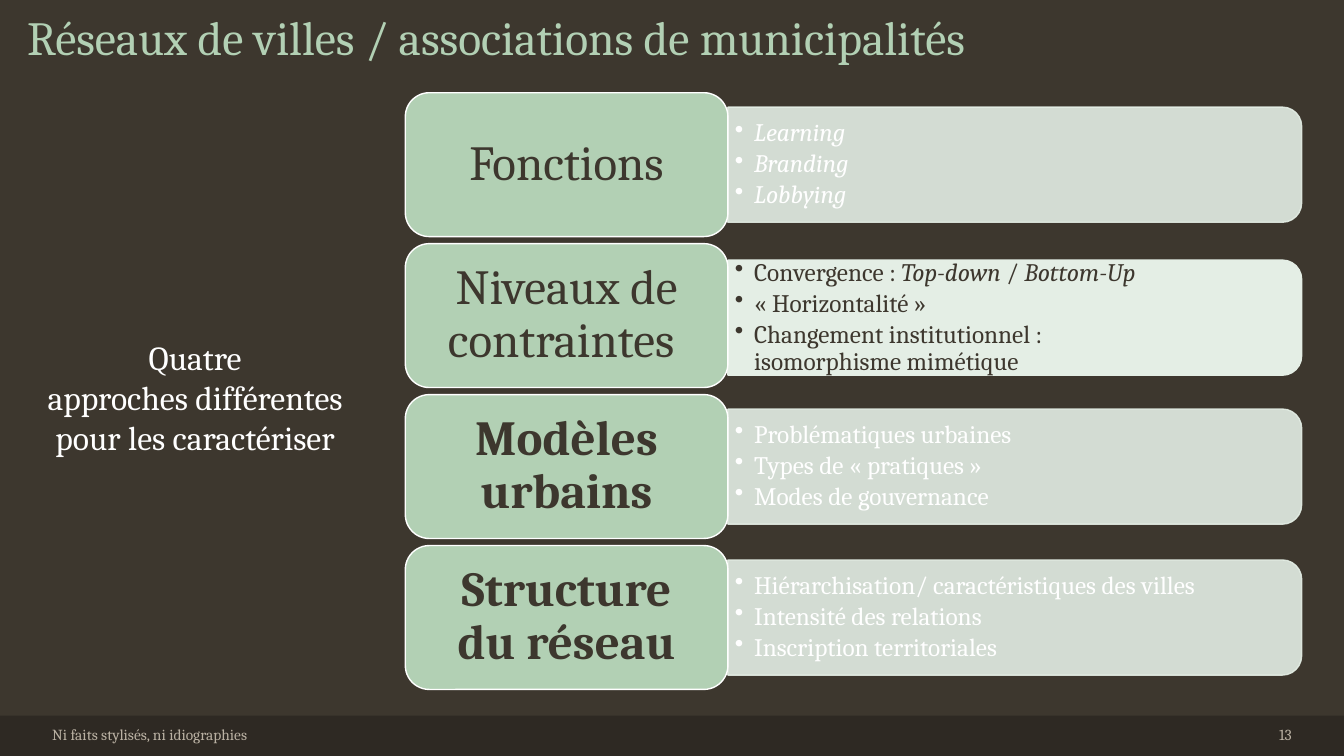
from dataclasses import dataclass

from lxml import etree
from pptx import Presentation
from pptx.dml.color import RGBColor
from pptx.enum.shapes import MSO_SHAPE as Shape
from pptx.enum.text import MSO_ANCHOR as Anchor, PP_ALIGN as Align
from pptx.oxml.ns import qn
from pptx.util import Inches, Pt


@dataclass(frozen=True)
class Theme:
    """Colours, font and type sizes of the slide."""
    font: str = "Cambria"
    dark: str = "3D372E"
    band: str = "2E2923"
    green: str = "B2D0B4"
    pale: str = "E4EEE5"
    white: str = "FFFFFF"
    muted: str = "BAB1A3"
    title: int = 34
    label: int = 35
    intro: int = 24
    body: int = 18
    small: int = 11


T = Theme()

APPROACHES = [
    ("Fonctions", False, False, 0,
     ["*Learning*", "*Branding*", "*Lobbying*"]),
    ("Niveaux de contraintes ", False, True, 0.02,
     ["Convergence : *Top-down* / *Bottom-Up*", "« Horizontalité »",
      "Changement institutionnel : \nisomorphisme mimétique"]),
    ("Modèles urbains", True, False, 0,
     ["Problématiques urbaines", "Types de « pratiques »", "Modes de gouvernance"]),
    ("Structure du réseau", True, False, 0,
     ["Hiérarchisation/ caractéristiques des villes", "Intensité des relations",
      "Inscription territoriales"]),
]


def rgb(value):
    """Return a colour object for a hex string."""
    return RGBColor.from_string(value)


def set_font(font, size, color, bold=False):
    """Apply the theme font with a size and a colour."""
    font.name, font.size, font.bold = T.font, Pt(size), bold
    font.color.rgb = rgb(color)


def add_block(s, kind, x, y, w, h, fill, line=None):
    """Add a preset shape with a flat fill and an optional outline."""
    sp = s.shapes.add_shape(kind, Inches(x), Inches(y), Inches(w), Inches(h))
    sp.shadow.inherit = False
    sp.fill.solid()
    sp.fill.fore_color.rgb = rgb(fill)
    if line:
        sp.line.color.rgb = rgb(line)
        sp.line.width = Pt(1)
    else:
        sp.line.fill.background()
    return sp


def set_insets(tf, across, down):
    """Set equal side insets and equal top and bottom insets."""
    tf.margin_left = tf.margin_right = Inches(across)
    tf.margin_top = tf.margin_bottom = Inches(down)


def add_text(s, x, y, w, h, text, size, color, align=Align.LEFT,
             anchor=Anchor.MIDDLE, spacing=1.0):
    """Add a wrapped text box in a single style."""
    tf = s.shapes.add_textbox(Inches(x), Inches(y), Inches(w), Inches(h)).text_frame
    tf.word_wrap = True
    tf.vertical_anchor = anchor
    tf.text = text
    for p in tf.paragraphs:
        p.alignment, p.line_spacing = align, spacing
        for r in p.runs:
            set_font(r.font, size, color)


def add_bullet(p, item, color):
    """Fill a bulleted paragraph, with starred words in italics."""
    pPr = p._p.get_or_add_pPr()
    pPr.set("marL", str(Inches(0.19)))
    pPr.set("indent", str(-Inches(0.19)))
    etree.SubElement(pPr, qn("a:buChar")).set("char", "•")
    p.line_spacing, p.space_after = 0.9, Pt(2.7)
    for i, part in enumerate(item.split("*")):
        for j, line in enumerate(part.split("\n")):
            if j:
                p.add_line_break()
            if line:
                r = p.add_run()
                r.text = line
                set_font(r.font, T.body, color)
                r.font.italic = i % 2 == 1


def add_bar(s, x, y, w, h, items, active):
    """Add the bar rounded on its right side and its bulleted text."""
    bar = add_block(s, Shape.ROUND_2_SAME_RECTANGLE, x + (w - h) / 2,
                    y + (h - w) / 2, h, w, T.pale, T.pale)
    bar.rotation = 90
    if not active:
        for color in bar._element.spPr.iter(qn("a:srgbClr")):
            etree.SubElement(color, qn("a:alpha")).set("val", "90000")
    tf = s.shapes.add_textbox(Inches(x), Inches(y + 0.06), Inches(w - 0.06),
                              Inches(h - 0.12)).text_frame
    tf.word_wrap = True
    tf.vertical_anchor = Anchor.MIDDLE
    set_insets(tf, 0.07, 0.04)
    for i, item in enumerate(items):
        p = tf.add_paragraph() if i else tf.paragraphs[0]
        add_bullet(p, item, T.dark if active else T.white)


def add_label(s, x, y, w, h, text, bold):
    """Add the green rounded box naming an approach."""
    sp = add_block(s, Shape.ROUNDED_RECTANGLE, x, y, w, h, T.green, T.white)
    tf = sp.text_frame
    tf.word_wrap = True
    tf.vertical_anchor = Anchor.MIDDLE
    set_insets(tf, 0.15, 0.07)
    tf.text = text
    p = tf.paragraphs[0]
    p.alignment, p.line_spacing = Align.CENTER, 0.9
    set_font(p.runs[0].font, T.label, T.dark, bold)


def add_approaches(s, x, y, w, h):
    """Stack the approaches, each with a label and a bar, in the box."""
    gap, label_w = 0.07, 3.2
    row_h = (h - gap * (len(APPROACHES) - 1)) / len(APPROACHES)
    bar_h = row_h * 0.8
    for i, (label, bold, active, shift, items) in enumerate(APPROACHES):
        top = y + i * (row_h + gap)
        add_bar(s, x + label_w, top + (row_h - bar_h) / 2 + shift,
                w - label_w, bar_h, items, active)
        add_label(s, x, top, label_w, row_h, label, bold)


def add_footer(s, x, y, w, h):
    """Add the bottom band with the footer text and page number."""
    add_block(s, Shape.RECTANGLE, x, y, w, h, T.band)
    add_text(s, x + 0.42, y + 0.06, 9.23, 0.25,
             "Ni faits stylisés, ni idiographies", T.small, T.muted)
    add_text(s, x + w - 0.91, y + 0.06, 0.49, 0.25, "13", T.small, T.muted, Align.RIGHT)


def main():
    """Build the slide and save the presentation."""
    prs = Presentation()
    prs.slide_width, prs.slide_height = Inches(13.33), Inches(7.5)
    s = prs.slides.add_slide(prs.slide_layouts[6])
    s.background.fill.solid()
    s.background.fill.fore_color.rgb = rgb(T.dark)
    add_footer(s, 0, 7.1, 13.33, 0.4)
    add_text(s, 0.17, -0.55, 11.91, 1.25,
             "Réseaux de villes / associations de municipalités",
             T.title, T.green, anchor=Anchor.BOTTOM, spacing=0.9)
    add_approaches(s, 4.02, 0.92, 8.89, 5.92)
    add_text(s, 0.17, 3.29, 3.53, 1.31,
             "Quatre\napproches différentes\npour les caractériser",
             T.intro, T.white, Align.CENTER, Anchor.TOP)
    prs.save("out.pptx")


if __name__ == "__main__":
    main()
